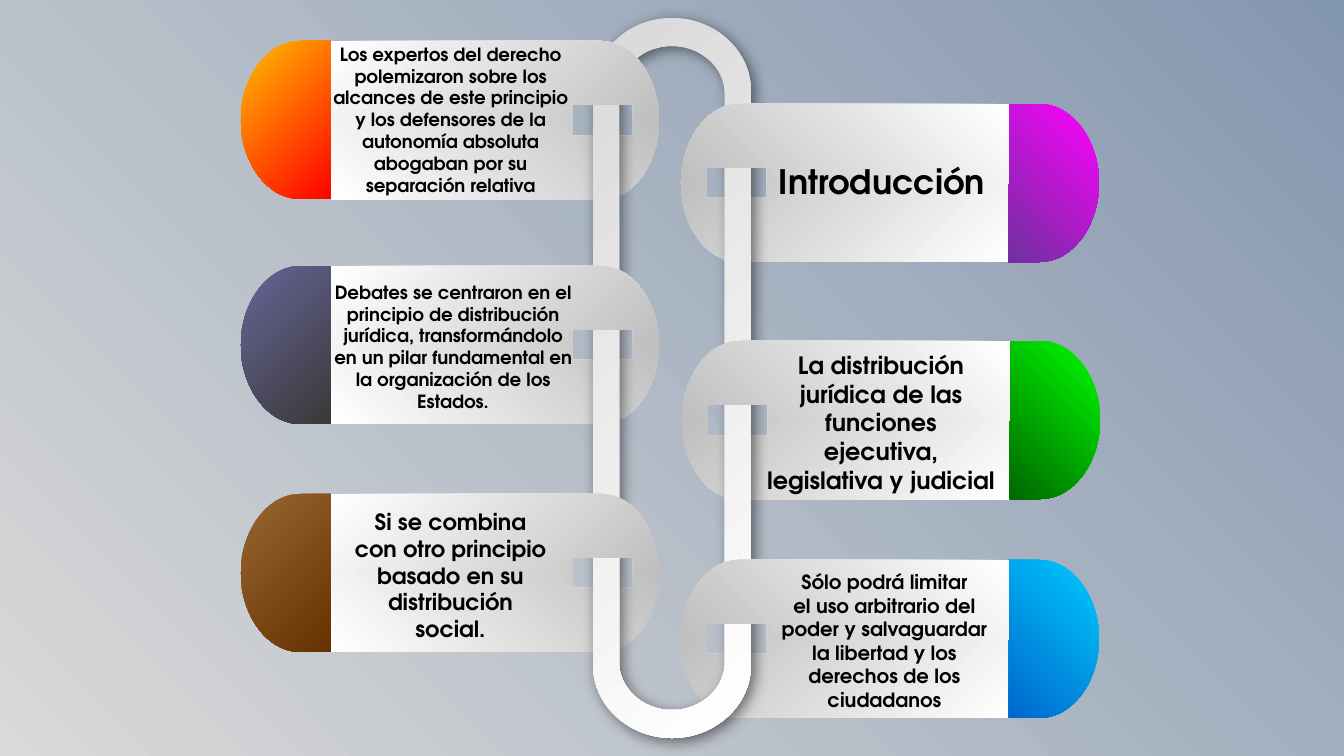
from lxml import etree
from pptx import Presentation
from pptx.dml.color import RGBColor
from pptx.enum.shapes import MSO_SHAPE
from pptx.enum.text import MSO_ANCHOR, MSO_AUTO_SIZE, PP_ALIGN
from pptx.oxml.ns import nsdecls, qn
from pptx.util import Pt

OVAL = MSO_SHAPE.OVAL
TOP = MSO_ANCHOR.TOP
GROW = MSO_AUTO_SIZE.SHAPE_TO_FIT_TEXT
CENTER = PP_ALIGN.CENTER

PX = 914400 / 100.8
BEND = 0.55
FONT = "TeX Gyre Adventor"
BLACK = RGBColor(0x00, 0x00, 0x00)
WHITE = RGBColor(0xFF, 0xFF, 0xFF)
SILVER = RGBColor(0xBF, 0xBF, 0xBF)
PALE = RGBColor(0xD9, 0xD9, 0xD9)
STEEL = RGBColor(0x84, 0x97, 0xB0)
AMBER = RGBColor(0xFF, 0xC0, 0x00)
RED = RGBColor(0xFF, 0x00, 0x00)
VIOLET = RGBColor(0x66, 0x66, 0x99)
COAL = RGBColor(0x3B, 0x38, 0x38)
TAN = RGBColor(0x99, 0x66, 0x33)
BROWN = RGBColor(0x66, 0x33, 0x00)
PINK = RGBColor(0xFF, 0x00, 0xFF)
PURPLE = RGBColor(0x70, 0x30, 0xA0)
LIME = RGBColor(0x00, 0xFF, 0x00)
GREEN = RGBColor(0x00, 0x66, 0x00)
CYAN = RGBColor(0x00, 0xCC, 0xFF)
BLUE = RGBColor(0x00, 0x66, 0xCC)

SOFT = f'<a:softEdge {nsdecls("a")} rad="127000"/>'
SHADE = (f'<a:outerShdw {nsdecls("a")} blurRad="127000" dist="38100" dir="2700000" algn="tl" '
         'rotWithShape="0"><a:srgbClr val="000000"><a:alpha val="51000"/></a:srgbClr></a:outerShdw>')

# Outer edge, direction, top, start of lower half, shadow width, tab colours
CARDS = [
    (241, 1, 41, 120, 103, (AMBER, RED)),
    (241, 1, 266, 344, 111, (VIOLET, COAL)),
    (241, 1, 494, 572, 119, (TAN, BROWN)),
    (1099, -1, 104, 182, 103, (PINK, PURPLE)),
    (1100, -1, 341, 420, 119, (LIME, GREEN)),
    (1099, -1, 560, 638, 103, (CYAN, BLUE)),
]

deck = Presentation()
deck.slide_width, deck.slide_height = round(1344 * PX), round(756 * PX)
slide = deck.slides.add_slide(deck.slide_layouts[5])
shapes = slide.shapes


def draw(loops, tones, angle):
    """Draw closed outlines in px; a step of one point is a line, of three a curve."""
    loops = [[[(round(x * PX), round(y * PX)) for x, y in step] for step in loop]
             for loop in loops]
    pen = shapes.build_freeform(*loops[0][0][0])
    for loop in loops:
        if loop is not loops[0]:
            pen.move_to(*loop[0][0])
        pen.add_line_segments([point for step in loop[1:] for point in step])
    form = pen.convert_to_shape()
    lines = form._element.spPr.iter(qn("a:lnTo"))
    lines = iter(list(lines))
    for loop in loops:
        for step in loop[1:]:
            parts = [next(lines) for point in step]
            if len(parts) == 3:
                curve = etree.Element(qn("a:cubicBezTo"))
                parts[0].addprevious(curve)
                for part in parts:
                    curve.append(part[0])
                    part.getparent().remove(part)
    form.shadow.inherit = False
    form.line.fill.background()
    form.fill.gradient()
    form.fill.gradient_angle = angle
    for stop, tone in zip(form.fill.gradient_stops, tones):
        stop.color.rgb = tone
    return form


def write(text, box=None, at=(0, 0, 0, 0), size=13):
    """Write centred bold text into a new or given box."""
    box = box or shapes.add_textbox(0, 0, 0, 0)
    box.left, box.top, box.width, box.height = [round(n * PX) for n in at]
    frame = box.text_frame
    frame.word_wrap = True
    frame.auto_size = GROW
    frame.vertical_anchor = TOP
    frame.text = text
    for para in frame.paragraphs:
        para.alignment = CENTER
        para.font.name = FONT
        para.font.size = Pt(size)
        para.font.bold = True
        para.font.color.rgb = BLACK


# Background
back = slide.background.fill
back.gradient()
back.gradient_angle = 45
for stop, tone in zip(back.gradient_stops, (PALE, STEEL)):
    stop.color.rgb = tone

# Outlines of half a card and of a tab, measured from the card's outer edge
half = [[(90, 0)], [(360, 0)], [(392, 0), (418, 36), (418, 80)], [(392, 80)],
        [(392, 64)], [(332, 64)], [(332, 80)], [(90, 80)]]
tab = [[(59, 0)], [(90, 0)], [(90, 158)], [(59, 158)], [(31, 158), (7, 131), (1, 95)],
       [(0, 79)], [(1, 63)], [(7, 27), (31, 0), (59, 0)]]

# Lower halves and tabs
for edge, way, top, low, wide, tones in CARDS:
    draw([[[(edge + way * u, low + 80 - v) for u, v in step] for step in half]],
         (WHITE, SILVER), 45 if way > 0 else 135)
    draw([[[(edge + way * u, top + v) for u, v in step] for step in tab]],
         tones, 315 if way > 0 else 225)

# Chain link: outer and inner ring around the slide's middle
rings = []
for rx, ry, tall in ((79, 73, 360), (53, 48, 332)):
    flank = tall - ry
    ring = [[(0, -tall)]]
    for s in (1, -1):
        ring += [[(s * rx * BEND, -s * tall), (s * rx, -s * (flank + ry * BEND)),
                  (s * rx, -s * flank)],
                 [(s * rx, s * flank)],
                 [(s * rx, s * (flank + ry * BEND)), (s * rx * BEND, s * tall),
                  (0, s * tall)]]
    rings.append([[(672 + x, 378 + y) for x, y in step] for step in ring])
link = draw(rings, (PALE, WHITE), 315)
link._element.spPr.find(qn("a:effectLst")).append(etree.fromstring(SHADE))

# Slot shadows and upper halves
for edge, way, top, low, wide, tones in CARDS:
    blur = shapes.add_shape(OVAL, *[round(n * PX) for n in
                            (edge + way * 362 - wide / 2, top + 57, wide, 21)])
    blur.shadow.inherit = False
    blur.fill.solid()
    blur.fill.fore_color.rgb = BLACK
    blur.line.color.rgb = BLACK
    blur.line.width = Pt(1)
    blur._element.spPr.find(qn("a:effectLst")).append(etree.fromstring(SOFT))
    draw([[[(edge + way * u, top + v) for u, v in step] for step in half]],
         (WHITE, SILVER), 315 if way > 0 else 225)

# Title, brought in front of its card
title = shapes.title
shapes._spTree.append(title._element)
write("Introducción ", box=title, at=(766, 156, 241, 50), size=24)

# Card texts
write("La distribución jurídica de las funciones ejecutiva, legislativa y judicial",
      at=(755, 346, 252, 154), size=17)
write("Sólo podrá limitar\nel uso arbitrario del poder y salvaguardar la libertad "
      "y los derechos de los ciudadanos", at=(763, 565, 243, 152), size=14)
write("Si se combina con otro principio basado en su distribución social.",
      at=(343, 503, 215, 146), size=16)
write("Debates se centraron en el principio de distribución jurídica, transformándolo "
      "en un pilar fundamental en la organización de los Estados.", at=(324, 276, 258, 142))
write("Los expertos del derecho polemizaron sobre los alcances de este principio y los "
      "defensores de la autonomía absoluta abogaban por su separación relativa",
      at=(318, 38, 265, 164))

deck.save("out.pptx")
